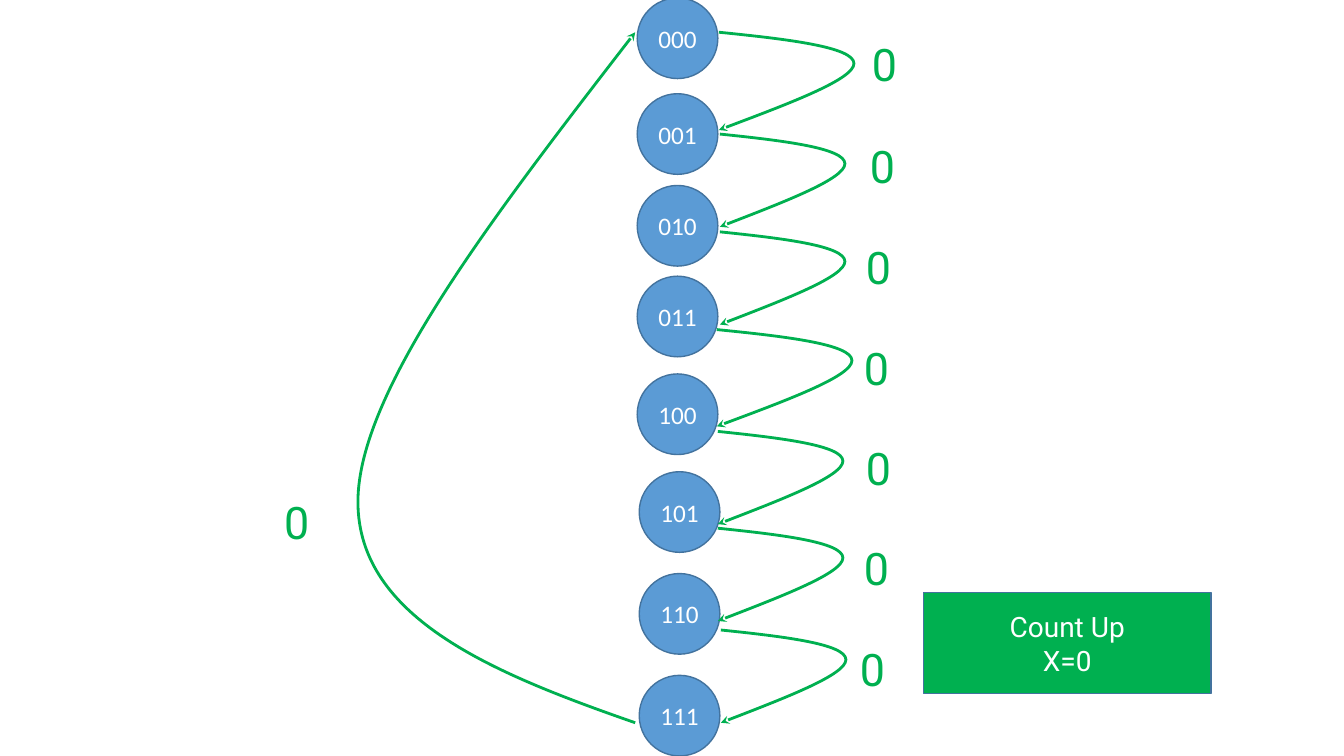
import itertools
from dataclasses import dataclass

import pptx
import pptx.dml.color
import pptx.enum.shapes
import pptx.enum.text
import pptx.oxml.ns
import pptx.util
from lxml import etree

Inches, Pt = pptx.util.Inches, pptx.util.Pt
RGB = pptx.dml.color.RGBColor.from_string
SHAPE = pptx.enum.shapes.MSO_SHAPE
ALIGN = pptx.enum.text.PP_ALIGN
MIDDLE = pptx.enum.text.MSO_ANCHOR.MIDDLE
GROW = pptx.enum.text.MSO_AUTO_SIZE.SHAPE_TO_FIT_TEXT
qn = pptx.oxml.ns.qn


@dataclass(frozen=True)
class Theme:
    state_fill: RGB = RGB("5B9BD5")
    outline: RGB = RGB("43739E")
    green: RGB = RGB("00B050")
    white: RGB = RGB("FFFFFF")
    state_font = {"name": "Calibri", "size": Pt(18)}
    legend_font = {"name": "Roboto", "size": Pt(20)}
    label_font = {"name": "Roboto", "size": Pt(32)}


THEME = Theme()
DIAMETER = 0.8
CURVE_DROPS = (0.07, 0.15, 0.32, 0.48, 0.74, 1)
CURVE_REACHES = (0.5, 1, 1, 1, 0.5, 0)

# ignored
STATES = [
    ("000", 0, 0), ("001", 0, 0.95), ("010", 0, 1.86), ("011", 0, 2.76),
    ("100", 0, 3.73), ("101", 0.02, 4.7), ("110", 0.02, 5.71), ("111", 0.02, 6.72),
]
STEPS = [
    (0.02, 0, 1.34, 0.97, 1.44, 0), (0.03, 1.01, 1.24, 0.92, 1.42, 1.01),
    (0.03, 1.98, 1.24, 0.92, 1.38, 2.01), (0, 2.95, 1.34, 0.96, 1.36, 3.01),
    (0.01, 3.96, 1.24, 0.92, 1.38, 4), (0.01, 4.92, 1.24, 0.92, 1.36, 5),
    (0.04, 5.93, 1.24, 0.92, 1.32, 6),
]


def write(tf, lines, font, color, align):
    for i, line in enumerate(lines):
        p = tf.add_paragraph() if i else tf.paragraphs[0]
        p.alignment = align
        r = p.add_run()
        r.text = line
        for key, value in font.items():
            setattr(r.font, key, value)
        r.font.color.rgb = color


def add_filled(s, kind, box, fill, lines, font, inset):
    sp = s.shapes.add_shape(kind, *map(Inches, box))
    sp.shadow.inherit = False
    sp.fill.solid()
    sp.fill.fore_color.rgb = fill
    sp.line.color.rgb = THEME.outline
    sp.line.width = Pt(1)
    tf = sp.text_frame
    tf.vertical_anchor = MIDDLE
    for side in ("left", "top", "right", "bottom"):
        if inset is not None:
            setattr(tf, f"margin_{side}", Inches(inset))
    write(tf, lines, font, THEME.white, ALIGN.CENTER)


def add_label(s, x, y):
    sp = s.shapes.add_textbox(*map(Inches, (x, y, 0.44, 0.64)))
    tf = sp.text_frame
    tf.word_wrap = False
    tf.auto_size = GROW
    write(tf, ["0"], THEME.label_font, THEME.green, ALIGN.LEFT)


def add_curve(s, x, y, reach, drop):
    points = [(Inches(x + reach * a), Inches(y + drop * b))
              for a, b in zip(CURVE_REACHES, CURVE_DROPS)]
    builder = s.shapes.build_freeform(Inches(x), Inches(y))
    builder.add_line_segments(points, close=False)
    sp = builder.convert_to_shape()
    outline = next(sp._element.iter(qn("a:path")))
    segments = outline.findall(qn("a:lnTo"))
    for start in range(0, len(segments), 3):
        bezier = etree.SubElement(outline, qn("a:cubicBezTo"))
        for segment in itertools.islice(segments, start, start + 3):
            bezier.append(segment[0])
            outline.remove(segment)
    sp.shadow.inherit = False
    sp.fill.background()
    sp.line.color.rgb = THEME.green
    sp.line.width = Pt(2)
    etree.SubElement(sp.line._get_or_add_ln(), qn("a:tailEnd"), type="stealth")


def add_states(s, x, y):
    for name, dx, dy in STATES:
        add_filled(s, SHAPE.OVAL, (x + dx, y + dy, DIAMETER, DIAMETER),
                   THEME.state_fill, [name], THEME.state_font, 0)


def add_steps(s, x, y):
    for dx, dy, reach, drop, label_dx, label_dy in STEPS:
        add_curve(s, x + dx, y + dy, reach, drop)
        add_label(s, x + label_dx, y + label_dy)


def add_return(s, x, y, w, h):
    add_curve(s, x + w, y + h, -w, -h)
    add_label(s, x - 0.83, y + 4.54)


def add_legend(s, box):
    add_filled(s, SHAPE.RECTANGLE, box, THEME.green, ["Count Up", "X=0"],
               THEME.legend_font, None)


def main():
    prs = pptx.Presentation()
    prs.slide_width, prs.slide_height = Inches(13.33), Inches(7.5)
    s = prs.slides.add_slide(prs.slide_layouts[6])
    add_states(s, 6.32, -0.02)
    add_steps(s, 7.11, 0.32)
    add_return(s, 3.55, 0.32, 2.75, 6.85)
    add_legend(s, (9.16, 5.88, 2.85, 1))
    prs.save("out.pptx")


if __name__ == "__main__":
    main()
